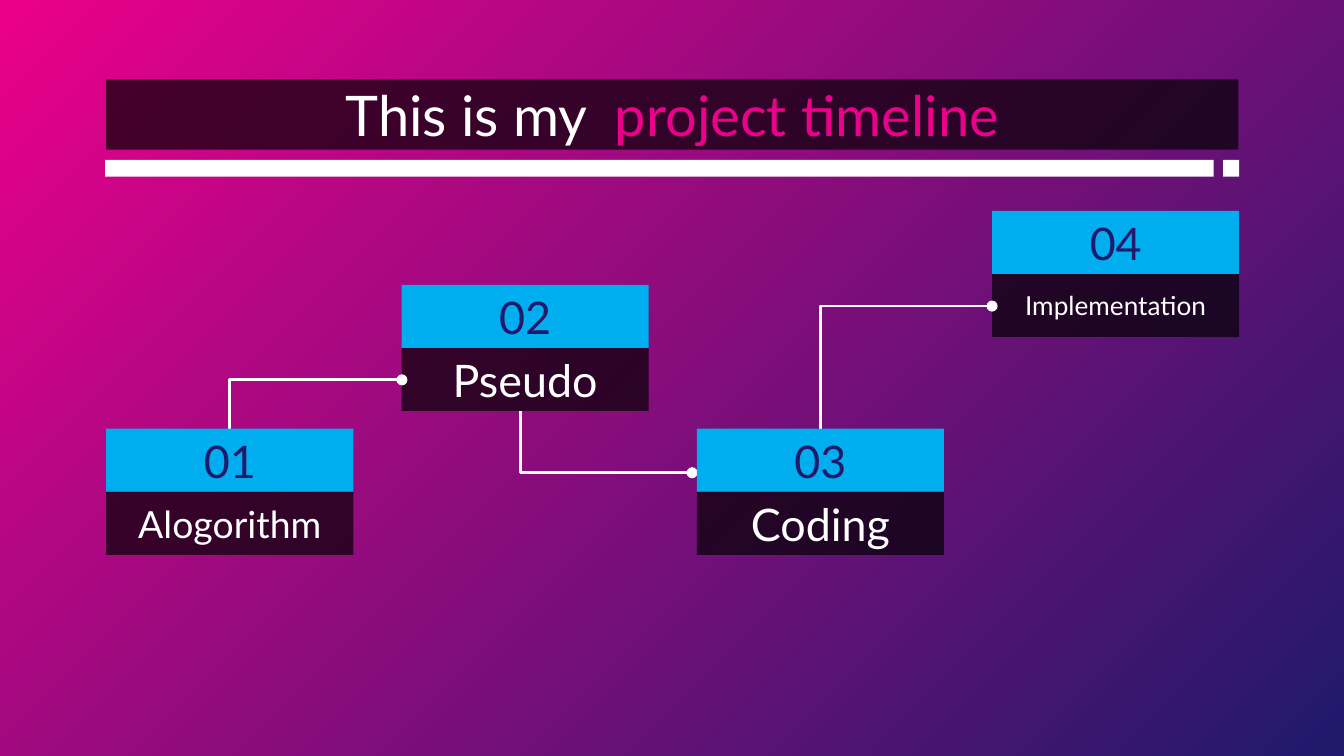
from dataclasses import dataclass

from lxml import etree
from pptx import Presentation
from pptx import util as u
from pptx.dml.color import RGBColor
from pptx.enum import shapes, text
from pptx.oxml import ns


@dataclass(frozen=True)
class Theme:
    pink: str = "EB008B"
    navy: str = "1F1A6B"
    blue: str = "00ADEE"
    white: str = "FFFFFF"
    black: str = "000000"
    panel_opacity: int = 68
    font: str = "Lato"
    title_size: float = 30
    number_size: float = 24
    line_width: float = 1.5


@dataclass(frozen=True)
class Box:
    left: float
    top: float
    width: float
    height: float


@dataclass(frozen=True)
class Step:
    number: str
    label: str
    label_size: float
    top: float


@dataclass(frozen=True)
class Link:
    start_x: float
    start_y: float
    end_x: float
    end_y: float


THEME = Theme()
LEFT, STEP_GAP = 56.9, 158.2
STEP_WIDTH, ROW_HEIGHT = 132.4, 33.8
TITLE_BOX = Box(LEFT, 42.6, 606.6, 37.6)
BARS = [Box(56.3, 85.7, 593.9, 9), Box(655.2, 85.7, 8.7, 9)]
STEPS = [
    Step("01", "Alogorithm", 20, 229.7),
    Step("02", "Pseudo", 24, 152.6),
    Step("03", "Coding", 24, 229.7),
    Step("04", "Implementation", 14, 113),
]
# Each link leaves a step vertically and then turns right
LINKS = [
    Link(123.1, 229.7, 215.3, 203.5),
    Link(278.8, 220.2, 370.8, 253.3),
    Link(439.6, 229.7, 531.5, 164),
]


def child(parent, tag: str, **attributes: str):
    return etree.SubElement(parent, ns.qn(tag), **attributes)


def paint_background(slide) -> None:
    fill = slide.background.fill
    fill.gradient()
    for stop, color in zip(fill.gradient_stops, (THEME.pink, THEME.navy)):
        stop.color.rgb = RGBColor.from_string(color)
    gradient = slide.element.find(".//" + ns.qn("a:gradFill"))
    gradient.remove(gradient.find(ns.qn("a:lin")))
    radial = child(gradient, "a:path", path="circle")
    child(radial, "a:fillToRect", r="100000", b="100000")


def add_box(parent, box: Box, color: str, opacity: int = 100):
    shape = parent.add_shape(
        shapes.MSO_SHAPE.RECTANGLE,
        u.Pt(box.left), u.Pt(box.top), u.Pt(box.width), u.Pt(box.height),
    )
    shape.shadow.inherit = False
    shape.line.fill.background()
    shape.fill.solid()
    shape.fill.fore_color.rgb = RGBColor.from_string(color)
    if opacity < 100:
        solid = shape.element.spPr.find(ns.qn("a:solidFill"))
        child(solid[0], "a:alpha", val=str(opacity * 1000))
    return shape


def write(shape, size: float, *parts: tuple[str, str]) -> None:
    """Write centred runs, each given as wording and colour."""
    frame = shape.text_frame
    frame.word_wrap = True
    frame.vertical_anchor = text.MSO_ANCHOR.MIDDLE
    frame.margin_left = frame.margin_right = u.Pt(7.2)
    frame.margin_top = frame.margin_bottom = u.Pt(7.2)
    paragraph = frame.paragraphs[0]
    paragraph.alignment = text.PP_ALIGN.CENTER
    paragraph.font.name = THEME.font
    paragraph.font.size = u.Pt(size)
    for wording, color in parts:
        run = paragraph.add_run()
        run.text = wording
        run.font.color.rgb = RGBColor.from_string(color)


def add_link(slide, link: Link) -> None:
    # The frame is laid out before its quarter turn, so width and height swap
    center_x = (link.start_x + link.end_x) / 2
    center_y = (link.start_y + link.end_y) / 2
    half_rise = (link.start_y - link.end_y) / 2
    half_run = (link.end_x - link.start_x) / 2
    connector = slide.shapes.add_connector(
        shapes.MSO_CONNECTOR.ELBOW,
        u.Pt(center_x - half_rise), u.Pt(center_y - half_run),
        u.Pt(center_x + half_rise), u.Pt(center_y + half_run),
    )
    connector.line.color.rgb = RGBColor.from_string(THEME.white)
    connector.line.width = u.Pt(THEME.line_width)
    properties = connector.element.spPr
    properties.find(ns.qn("a:xfrm")).set("rot", str(270 * 60000))
    properties.find(ns.qn("a:prstGeom")).set("prst", "bentConnector2")
    child(properties.find(ns.qn("a:ln")), "a:tailEnd", type="oval")
    child(properties, "a:effectLst")


def step_row(index: int, step: Step, row: int) -> Box:
    return Box(LEFT + index * STEP_GAP, step.top + row * ROW_HEIGHT,
               STEP_WIDTH, ROW_HEIGHT)


def main() -> None:
    presentation = Presentation()
    presentation.slide_width = u.Pt(720)
    presentation.slide_height = u.Pt(405)
    slide = presentation.slides.add_slide(presentation.slide_layouts[6])
    paint_background(slide)

    # Title
    title = add_box(slide.shapes, TITLE_BOX, THEME.black, THEME.panel_opacity)
    write(title, THEME.title_size,
          ("This is my  ", THEME.white), ("project timeline", THEME.pink))

    # Step labels
    for index, step in enumerate(STEPS):
        label = add_box(slide.shapes, step_row(index, step, 1),
                        THEME.black, THEME.panel_opacity)
        write(label, step.label_size, (step.label, THEME.white))

    # Divided bar below the title
    bar_group = slide.shapes.add_group_shape()
    for bar in BARS:
        add_box(bar_group.shapes, bar, THEME.white)

    # Links between steps
    for link in LINKS:
        add_link(slide, link)

    # Step numbers
    for index, step in enumerate(STEPS):
        number = add_box(slide.shapes, step_row(index, step, 0), THEME.blue)
        write(number, THEME.number_size, (step.number, THEME.navy))

    presentation.save("out.pptx")


if __name__ == "__main__":
    main()
